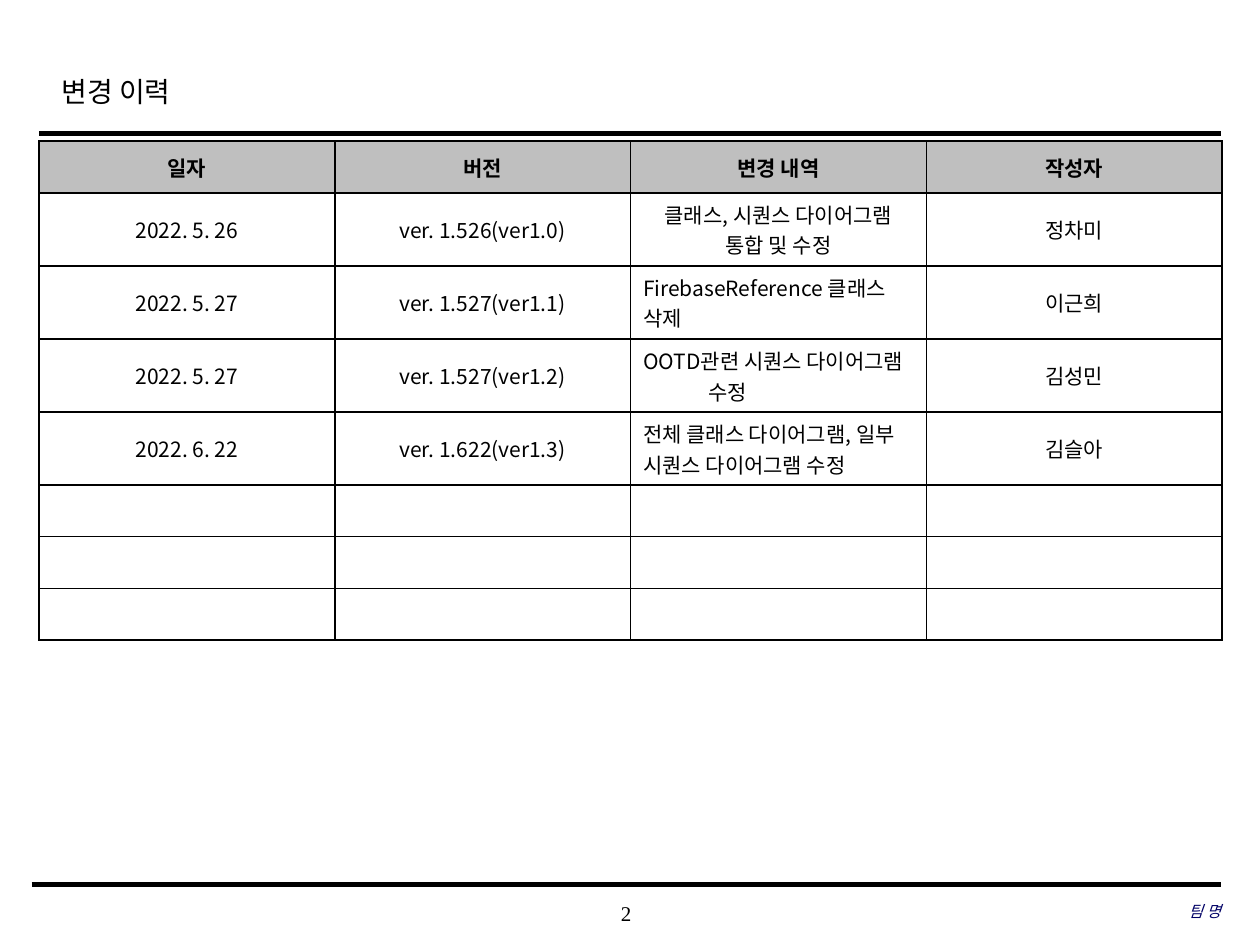
import pptx
import pptx.util
import pptx.enum.shapes
import pptx.enum.text
import pptx.dml.color
import pptx.oxml
import pptx.oxml.ns
import lxml.etree

Inches = pptx.util.Inches
ALIGN = pptx.enum.text.PP_ALIGN
ANCHOR = pptx.enum.text.MSO_ANCHOR
SANS = "Noto Sans CJK KR"
SERIF = "Times New Roman"
COLORS = {"ink": "000000", "team": "000066", "head": "BFBFBF", "body": "FFFFFF"}
HEADS = ["일자", "버전", "변경 내역", "작성자"]
ROWS = [
    ["2022. 5. 26", "ver. 1.526(ver1.0)", "클래스, 시퀀스 다이어그램 통합 및 수정", "정차미"],
    ["2022. 5. 27", "ver. 1.527(ver1.1)", "FirebaseReference 클래스 삭제", "이근희"],
    ["2022. 5. 27", "ver. 1.527(ver1.2)", "OOTD관련 시퀀스 다이어그램 수정", "김성민"],
    ["2022. 6. 22", "ver. 1.622(ver1.3)", "전체 클래스 다이어그램, 일부 시퀀스 다이어그램 수정", "김슬아"],
]
BLANKS = [[""] * len(HEADS)] * 3
LEFT_ROWS = (2, 3, 4)
HANG_ROW = 3
NOTE_COL = 2


def color(name):
    return pptx.dml.color.RGBColor.from_string(COLORS[name])


def add_xml(parent, tag, **attrs):
    return lxml.etree.SubElement(parent, pptx.oxml.ns.qn(tag), attrs)


def style(para, size, face, ink="ink", bold=False, italic=False, align=ALIGN.LEFT):
    para.alignment = align
    font = para.font
    font.size = pptx.util.Pt(size)
    font.bold = bold
    font.italic = italic
    font.color.rgb = color(ink)
    font.name = face
    add_xml(para._p.pPr.defRPr, "a:ea", typeface=SANS)


def add_text(slide, text, box, size, **look):
    shape = slide.shapes.add_textbox(*map(Inches, box))
    frame = shape.text_frame
    frame.word_wrap = True
    para = frame.paragraphs[0]
    para.text = text
    style(para, size, SERIF, **look)
    return frame


def add_rule(slide, left, right, top, width):
    line = slide.shapes.add_connector(
        pptx.enum.shapes.MSO_CONNECTOR.STRAIGHT,
        Inches(left), Inches(top), Inches(right), Inches(top))
    line.line.color.rgb = color("ink")
    line.line.width = pptx.util.Pt(width)
    add_xml(line._element.spPr, "a:effectLst")


def add_borders(cell):
    props = cell._tc.get_or_add_tcPr()
    for spot, side in enumerate(("a:lnL", "a:lnR", "a:lnT", "a:lnB")):
        edge = add_xml(props, side, w=str(pptx.util.Pt(1)))
        fill = add_xml(edge, "a:solidFill")
        add_xml(fill, "a:srgbClr", val=COLORS["ink"])
        props.insert(spot, edge)


def add_header(slide, left, top, width):
    frame = add_text(slide, "변경 이력", (left + 0.08, top, 7.55, 0.5), 16)
    frame.paragraphs[0].line_spacing = 1.2
    add_rule(slide, left, left + width, top + 0.57, 2.5)


def fill_cell(cell, text, row, col):
    head = row == 0
    note = col == NOTE_COL and row in LEFT_ROWS
    cell.fill.solid()
    cell.fill.fore_color.rgb = color("head" if head else "body")
    cell.vertical_anchor = ANCHOR.MIDDLE
    if not text:
        cell.margin_top = cell.margin_bottom = Inches(0.02)
    para = cell.text_frame.paragraphs[0]
    para.text = text
    style(para, 12, SANS, bold=head, align=ALIGN.LEFT if note else ALIGN.CENTER)
    if note and row == HANG_ROW:
        hang = Inches(0.52)
        para._p.pPr.set("marL", str(hang))
        para._p.pPr.set("indent", str(-hang))
    add_borders(cell)


def add_history(slide, left, top, width, step, tall):
    rows = [HEADS] + ROWS + BLANKS
    highs = [step] + [tall] * len(ROWS) + [step] * len(BLANKS)
    table = slide.shapes.add_table(
        len(rows), len(HEADS), Inches(left), Inches(top),
        Inches(width), Inches(sum(highs))).table
    table.first_row = False
    table.horz_banding = False
    for row, texts in enumerate(rows):
        table.rows[row].height = Inches(highs[row])
        for col, text in enumerate(texts):
            fill_cell(table.cell(row, col), text, row, col)


def add_footer(slide, left, top, width):
    add_rule(slide, left, left + width, top, 3)
    page = add_text(slide, "2", (left + 3.68, top + 0.06, 2.08, 0.33), 12,
                    align=ALIGN.CENTER)
    team = add_text(slide, "팀 명", (left + width - 3.06, top + 0.05, 3.06, 0.33), 9,
                    ink="team", italic=True, align=ALIGN.RIGHT)
    for frame in (page, team):
        frame.vertical_anchor = ANCHOR.MIDDLE
        frame.margin_left = frame.margin_right = 0
        frame.margin_top = frame.margin_bottom = 0


def main():
    deck = pptx.Presentation()
    deck.slide_width = Inches(10)
    deck.slide_height = Inches(7.5)
    slide = deck.slides.add_slide(deck.slide_layouts[6])
    add_header(slide, 0.31, 0.49, 9.38)
    add_history(slide, 0.31, 1.12, 9.39, 0.41, 0.58)
    add_footer(slide, 0.25, 7.02, 9.44)
    deck.save("out.pptx")


if __name__ == "__main__":
    main()
